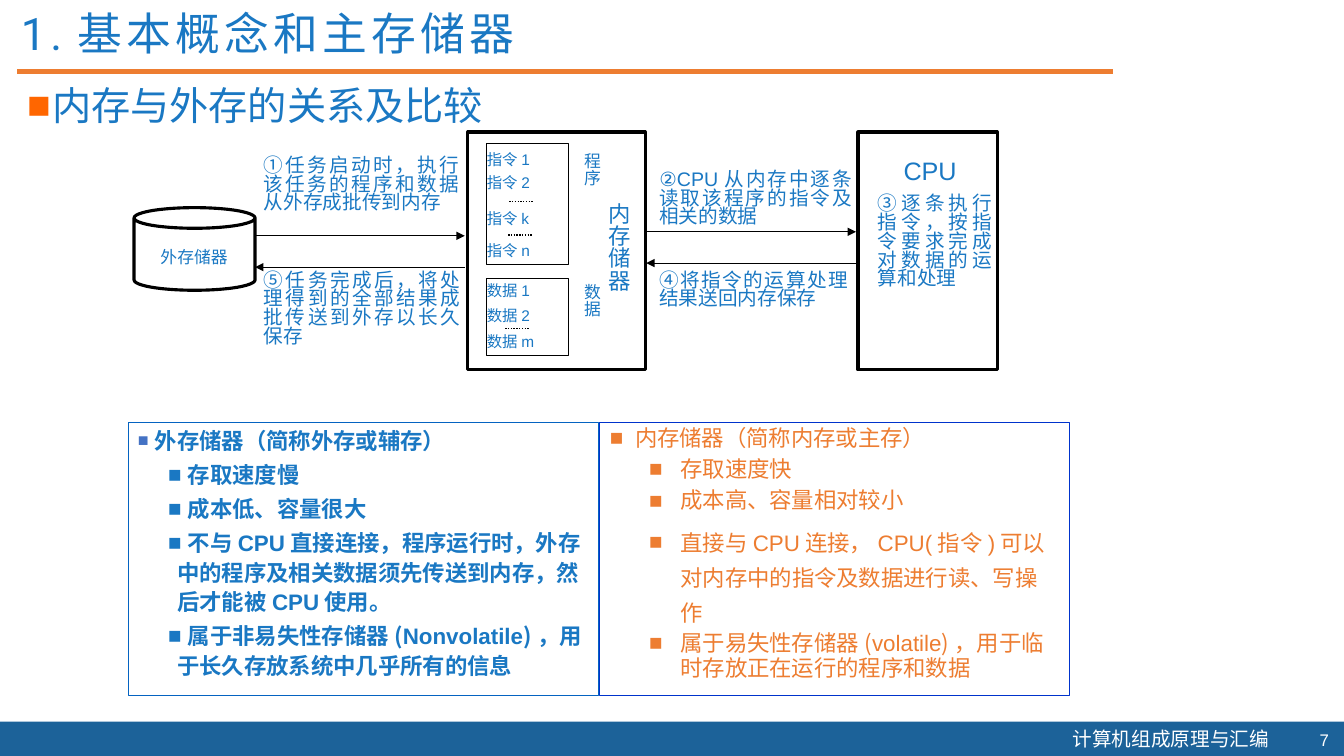
from lxml import etree
from pptx import Presentation
from pptx import util as u
from pptx.dml.color import RGBColor
from pptx.enum import dml, shapes, text
from pptx.oxml.ns import qn

INK = {"blue": "1A78C3", "orange": "ED7D31", "bar": "1C6299", "mark": "FF6600",
       "point": "4472C4", "left": "0563C1", "right": "0033CC",
       "black": "000000", "white": "FFFFFF"}
SANS, NOTO = "Arial", "Noto Sans CJK SC"
ALIGN = text.PP_ALIGN


def tint(name):
    """Return the named colour."""
    return RGBColor.from_string(INK[name])


def inches(*sizes):
    """Turn numbers into lengths."""
    return [u.Inches(size) for size in sizes]


def style(run, size, color, font=SANS, bold=False, asian=SANS):
    """Format one run."""
    run.font.size, run.font.bold, run.font.name = u.Pt(size), bold, font
    run.font.color.rgb = tint(color)
    etree.SubElement(run.font._element, qn("a:ea")).set("typeface", asian)


def label(slide, at, words, size=14, color="blue", align=ALIGN.JUSTIFY,
          lines=None, pad=0.05, down=False, font=SANS, asian=SANS):
    """Add a one-paragraph text box."""
    box = slide.shapes.add_textbox(*inches(*at))
    frame = box.text_frame
    frame.word_wrap = True
    frame.margin_top = frame.margin_bottom = u.Inches(pad)
    if down:
        frame._txBody.bodyPr.set("vert", "eaVert")
    frame.text = words
    para = frame.paragraphs[0]
    para.alignment, para.line_spacing = align, lines
    style(para.runs[0], size, color, font, asian=asian)
    return para


def block(slide, kind, at, fill=None, line=None, width=1):
    """Add a plain shape."""
    shape = slide.shapes.add_shape(kind, *inches(*at))
    shape.shadow.inherit = False
    if fill:
        shape.fill.solid()
        shape.fill.fore_color.rgb = tint(fill)
    else:
        shape.fill.background()
    if line:
        shape.line.color.rgb = tint(line)
        shape.line.width = u.Pt(width)
    else:
        shape.line.fill.background()
    return shape


def stroke(slide, start, end, y, color="black", width=0.75, dots=False, arrow=False):
    """Add a level line, dotted or with an arrowhead."""
    link = slide.shapes.add_connector(shapes.MSO_CONNECTOR.STRAIGHT,
                                      *inches(start, y, end, y))
    link.line.color.rgb = tint(color)
    link.line.width = u.Pt(width)
    if dots:
        link.line.dash_style = dml.MSO_LINE.ROUND_DOT
    props = link._element.spPr
    if arrow:
        etree.SubElement(props.find(qn("a:ln")), qn("a:tailEnd")).set("type", "triangle")
    etree.SubElement(props, qn("a:effectLst"))


def bullet(para, left, hang, color=None, scale=None):
    """Give a paragraph a square bullet and a hanging indent."""
    props = para._p.get_or_add_pPr()
    props.set("marL", str(u.Inches(left)))
    props.set("indent", str(u.Inches(-hang)))
    if color:
        ink = etree.SubElement(props, qn("a:buClr"))
        etree.SubElement(ink, qn("a:srgbClr")).set("val", INK[color])
    if scale:
        etree.SubElement(props, qn("a:buSzPct")).set("val", str(scale * 1000))
    etree.SubElement(props, qn("a:buFont")).set("typeface", SANS)
    etree.SubElement(props, qn("a:buChar")).set("char", "■")


def panel(slide, at, line, color, bold, head, dent, gap, rows):
    """Add a framed list with a heading; rows hold a line spacing and runs."""
    frame = block(slide, shapes.MSO_SHAPE.RECTANGLE, at, line=line, width=0.75).text_frame
    frame.word_wrap = True
    frame.vertical_anchor = text.MSO_ANCHOR.TOP
    for i, (lines, parts) in enumerate(rows):
        para = frame.add_paragraph() if i else frame.paragraphs[0]
        para.alignment, para.line_spacing = ALIGN.LEFT, lines
        if i:
            para.level = 1
            para.space_before = u.Pt(gap)
        bullet(para, *(dent if i else head))
        for words, font in parts:
            run = para.add_run()
            run.text = words
            style(run, 16, color, font, bold)


def frame_page(slide):
    """Add the title, heading and footer."""
    block(slide, shapes.MSO_SHAPE.RECTANGLE, (0, 7.16, 13.33, 0.35), "bar")
    label(slide, (10.54, 7.16, 2.18, 0.34), "计算机组成原理与汇编", 14, "white",
          ALIGN.LEFT, font=NOTO, asian=NOTO)
    stroke(slide, 0.17, 11.04, 0.71, "orange", 3)
    label(slide, (12.78, 7.19, 0.5, 0.3), "7", 12, "white", ALIGN.RIGHT)
    head = label(slide, (0.17, 0.76, 12.94, 0.6), "内存与外存的关系及比较", 28,
                 align=ALIGN.LEFT)
    bullet(head, 0.25, 0.25, "mark")
    title = label(slide, (0.11, 0.07, 10.65, 0.48), "1.基本概念和主存储器", 32,
                  align=ALIGN.LEFT, lines=0.9, font="Roboto")
    title.runs[0].font._element.set("spc", "300")


def draw_flow(slide):
    """Draw the storage units and the data flow between them."""
    rect = shapes.MSO_SHAPE.RECTANGLE
    block(slide, rect, (4.64, 1.31, 1.76, 2.36), "white", "black", 2.25)
    block(slide, rect, (8.51, 1.31, 1.38, 2.36), "white", "black", 2.25)
    disk = block(slide, shapes.MSO_SHAPE.CAN, (1.33, 2.06, 1.2, 0.82), "white", "black", 2.25)
    disk.adjustments[0] = 0.25
    label(slide, (1.27, 2.4, 1.31, 0.54), "外存储器", 12, align=ALIGN.CENTER)
    label(slide, (8.57, 1.49, 1.31, 0.54), "CPU", 18, align=ALIGN.CENTER)

    for top, tall in ((1.42, 1.2), (2.76, 0.77)):
        block(slide, rect, (4.82, top, 0.82, tall), line="black", width=0.5)
    for words, top in (("指令1", 1.49), ("指令2", 1.72), ("指令k", 2.07), ("指令n", 2.39),
                       ("数据1", 2.79), ("数据2", 3.04), ("数据m", 3.29)):
        label(slide, (4.73, top, 0.95, 0.36), words, 11, pad=0)
    for left, y in ((5.05, 2), (5.04, 2.33), (5.01, 3.26)):
        stroke(slide, left, left + 0.24, y, width=1, dots=True)
    for words, at, size in (("内存储器", (5.63, 1.91, 0.69, 1.19), 16),
                            ("程序", (5.31, 1.42, 0.71, 0.62), 12),
                            ("数据", (5.31, 2.72, 0.71, 0.62), 12)):
        label(slide, at, words, size, down=True)

    for start, end, y in ((2.53, 4.61, 2.34), (6.41, 8.49, 2.3),
                          (8.49, 6.41, 2.61), (4.61, 2.53, 2.65)):
        stroke(slide, start, end, y, arrow=True)
    for words, at in (
            ("①任务启动时，执行该任务的程序和数据从外存成批传到内存", (2.52, 1.51, 2.13, 0.93)),
            ("②CPU从内存中逐条读取该程序的指令及相关的数据", (6.44, 1.65, 2.11, 0.94)),
            ("③逐条执行指令，按指令要求完成对数据的运算和处理", (8.61, 1.89, 1.33, 1.68)),
            ("④将指令的运算处理结果送回内存保存", (6.44, 2.65, 2.07, 0.94)),
            ("⑤任务完成后，将处理得到的全部结果成批传送到外存以长久保存",
             (2.52, 2.65, 2.14, 0.92))):
        label(slide, at, words, lines=0.8)


def compare(slide):
    """Add the two lists that compare the kinds of storage."""
    panel(slide, (5.95, 4.19, 4.66, 2.71), "right", "orange", False,
          (0.25, 0.25), (0.7, 0.31), 5, [
              (0.9, [("内存储器（简称内存或主存）", SANS)]),
              (0.9, [("存取速度快", SANS)]),
              (0.9, [("成本高、容量相对较小", SANS)]),
              (1.3, [("直接与CPU连接，CPU(指令)可以对", SANS),
                     ("内存中的指令及数据进行读、写操作", NOTO)]),
              (0.9, [("属于易失性存储器(", NOTO), ("volatile", SANS), (")，用于", NOTO),
                     ("临时存放正在运行的程序和数据", SANS)])])
    panel(slide, (1.27, 4.19, 4.67, 2.71), "left", "blue", True,
          (0.1, 0.1, "point", 80), (0.39, 0.09), 3.2, [
              (1, [(" 外存储器（简称外存或辅存）", SANS)]),
              (1.1, [(" 存取速度慢", SANS)]),
              (1.1, [(" 成本低、容量很大", SANS)]),
              (1.1, [(" 不与CPU直接连接，程序运行时，外存中的程序及相关数据"
                      "须先传送到内存，然后才能被CPU使用。", SANS)]),
              (1.1, [(" 属于非易失性存储器(", NOTO), ("Nonvolatile", SANS),
                     (")，用于长久存放系统中几乎所有的信息", NOTO)])])


def main():
    """Build and save the slide."""
    deck = Presentation()
    deck.slide_width, deck.slide_height = inches(13.33, 7.5)
    slide = deck.slides.add_slide(deck.slide_layouts[6])
    frame_page(slide)
    draw_flow(slide)
    compare(slide)
    deck.save("out.pptx")


if __name__ == "__main__":
    main()
